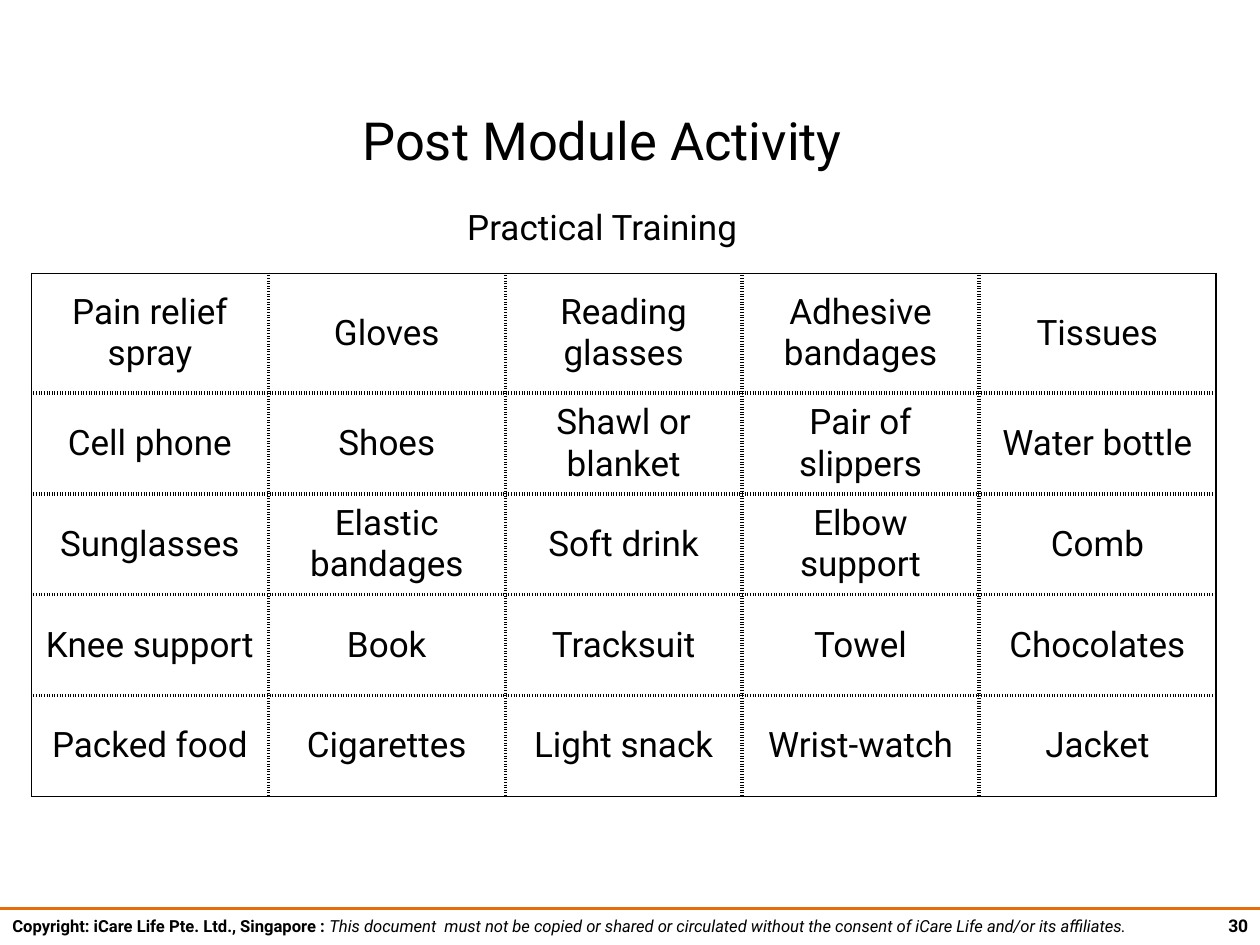
from dataclasses import dataclass

from lxml import etree
from pptx import Presentation
from pptx.dml.color import RGBColor
from pptx.enum.shapes import MSO_CONNECTOR
from pptx.enum.text import MSO_ANCHOR, MSO_AUTO_SIZE, PP_ALIGN
from pptx.oxml.ns import qn
from pptx.util import Inches, Pt

STRAIGHT = MSO_CONNECTOR.STRAIGHT
MIDDLE, TOP = MSO_ANCHOR.MIDDLE, MSO_ANCHOR.TOP
CENTER, LEFT = PP_ALIGN.CENTER, PP_ALIGN.LEFT
GROW, FIXED = MSO_AUTO_SIZE.SHAPE_TO_FIT_TEXT, MSO_AUTO_SIZE.NONE

BLACK = RGBColor(0x00, 0x00, 0x00)
ORANGE = RGBColor(0xE4, 0x6C, 0x0A)
FONT = "Roboto"
WIDTH, HEIGHT = Inches(10), Inches(7.5)
TITLE_LEFT, TITLE_WIDTH, TITLE_HEIGHT = 0.28, 9, 0.69
TABLE_LEFT, TABLE_TOP, COL_WIDTH = 0.25, 2.17, 1.88
ROW_HEIGHTS = [0.95] + [0.8] * 4
FOOTER_TOP = 7.21

ITEMS = [
    ["Pain relief spray", "Gloves", "Reading glasses", "Adhesive bandages", "Tissues"],
    ["Cell phone", "Shoes", "Shawl or blanket", "Pair of slippers", "Water bottle"],
    ["Sunglasses", "Elastic bandages", "Soft drink", "Elbow support", "Comb"],
    ["Knee support", "Book", "Tracksuit", "Towel", "Chocolates"],
    ["Packed food", "Cigarettes", "Light snack", "Wrist-watch", "Jacket"],
]


@dataclass
class Run:
    text: str
    size: float
    bold: bool = False
    italic: bool = False


@dataclass
class Border:
    width: float
    dash: str


OUTER = Border(1, "solid")
INNER = Border(2.25, "sysDot")


def write(tf, runs: list[Run], align=CENTER) -> None:
    p = tf.paragraphs[0]
    p.alignment = align
    for run in runs:
        r = p.add_run()
        r.text = run.text
        r.font.name = FONT
        r.font.size = Pt(run.size)
        r.font.bold = run.bold
        r.font.italic = run.italic
        r.font.color.rgb = BLACK


def place(sp, left: float, top: float, width: float, height: float) -> None:
    sp.left, sp.top = Inches(left), Inches(top)
    sp.width, sp.height = Inches(width), Inches(height)


def setup_frame(tf, wrap: bool, anchor, size_mode) -> None:
    tf.word_wrap = wrap
    tf.vertical_anchor = anchor
    tf.auto_size = size_mode


def add_text(s, box: tuple[float, float, float, float], runs: list[Run],
             align=LEFT, wrap: bool = True, anchor=TOP, size_mode=GROW) -> None:
    sp = s.shapes.add_textbox(0, 0, 0, 0)
    place(sp, *box)
    setup_frame(sp.text_frame, wrap, anchor, size_mode)
    write(sp.text_frame, runs, align)


def add_border(cell, side: str, border: Border) -> None:
    ln = etree.SubElement(cell._tc.get_or_add_tcPr(), qn(f"a:ln{side}"), w=str(Pt(border.width)))
    fill = etree.SubElement(ln, qn("a:solidFill"))
    etree.SubElement(fill, qn("a:srgbClr"), val=str(BLACK))
    etree.SubElement(ln, qn("a:prstDash"), val=border.dash)


def add_items_table(s) -> None:
    rows, cols = len(ITEMS), len(ITEMS[0])
    frame = s.shapes.add_table(rows, cols, Inches(TABLE_LEFT), Inches(TABLE_TOP),
                               Inches(COL_WIDTH * cols), Inches(sum(ROW_HEIGHTS)))
    table = frame.table
    table.first_row = table.horz_banding = False
    for col in table.columns:
        col.width = Inches(COL_WIDTH)
    for i, (height, names) in enumerate(zip(ROW_HEIGHTS, ITEMS)):
        table.rows[i].height = Inches(height)
        for j, name in enumerate(names):
            cell = table.cell(i, j)
            cell.vertical_anchor = MIDDLE
            edges = {"L": j == 0, "R": j == cols - 1, "T": i == 0, "B": i == rows - 1}
            for side, is_outer in edges.items():
                add_border(cell, side, OUTER if is_outer else INNER)
            cell.fill.background()
            write(cell.text_frame, [Run(name, 20)])


def add_footer(s) -> None:
    add_text(s, (9.65, FOOTER_TOP, 0.36, 0.27), [Run("30", 10, bold=True)], wrap=False)
    add_text(s, (0, FOOTER_TOP + 0.01, 10, 0.27), [
        Run("Copyright: iCare Life Pte. Ltd., Singapore : ", 9.5, bold=True),
        Run("This document  must not be copied or shared or circulated without "
            "the consent of iCare Life and/or its affiliates.", 9.5, italic=True),
    ])
    rule = s.shapes.add_connector(STRAIGHT, Inches(-0.01), Inches(FOOTER_TOP),
                                  Inches(10.03), Inches(FOOTER_TOP))
    rule.line.color.rgb = ORANGE
    rule.line.width = Pt(1.5)
    etree.SubElement(rule._element.spPr, qn("a:effectLst"))


def main() -> None:
    prs = Presentation()
    prs.slide_width, prs.slide_height = WIDTH, HEIGHT
    s = prs.slides.add_slide(prs.slide_layouts[5])
    title = s.shapes.title
    place(title, TITLE_LEFT, 0.76 + TITLE_HEIGHT, TITLE_WIDTH, TITLE_HEIGHT)
    setup_frame(title.text_frame, True, MIDDLE, FIXED)
    write(title.text_frame, [Run("Practical Training", 20)])
    add_footer(s)
    add_text(s, (TITLE_LEFT, 0.76, TITLE_WIDTH, TITLE_HEIGHT),
             [Run("Post Module Activity", 30)], CENTER, anchor=MIDDLE, size_mode=FIXED)
    add_items_table(s)
    prs.save("out.pptx")


if __name__ == "__main__":
    main()
